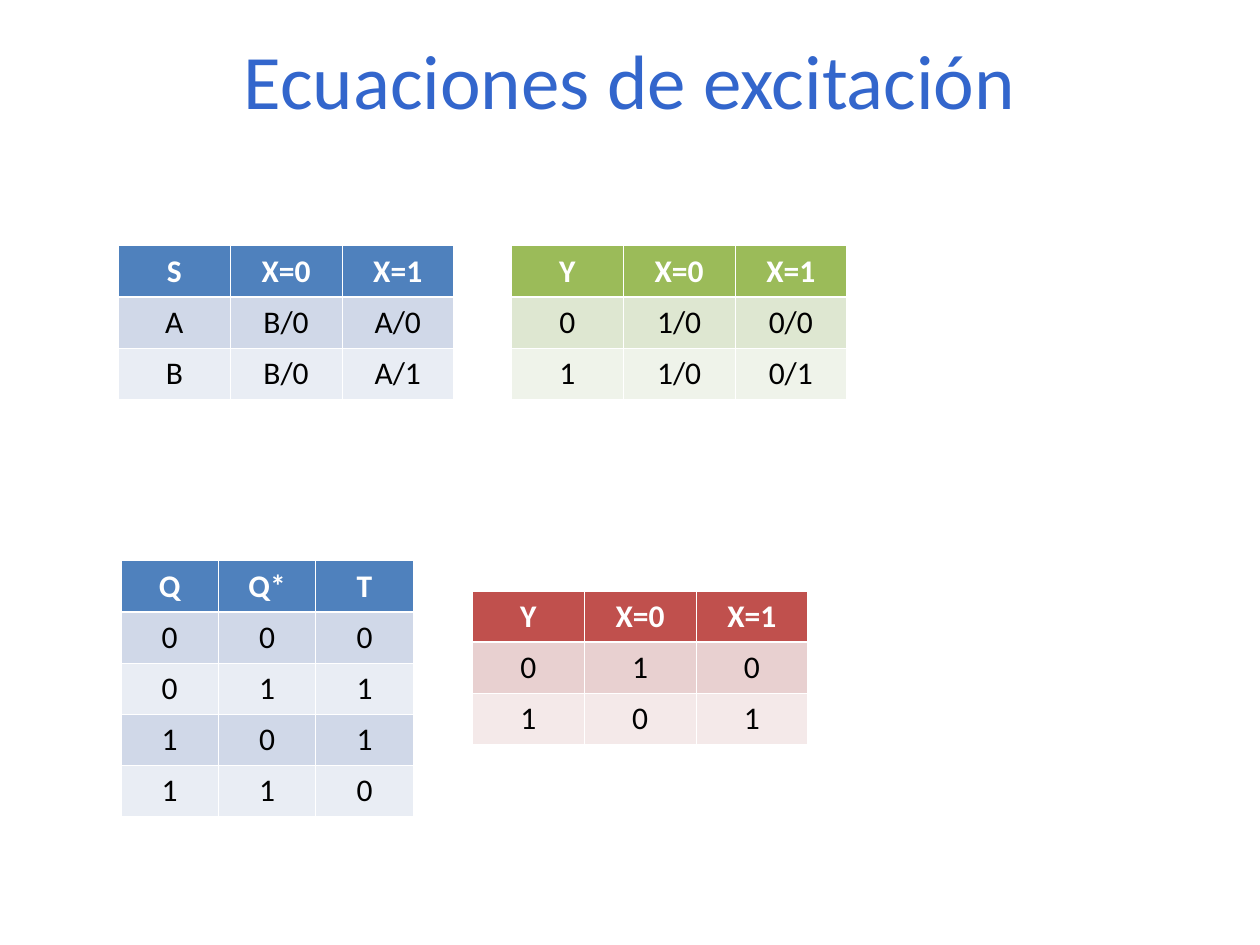
from pptx import Presentation
from pptx.dml.color import RGBColor
from pptx.enum.text import MSO_ANCHOR, PP_ALIGN
from pptx.oxml import parse_xml
from pptx.oxml.ns import nsdecls
from pptx.util import Inches, Pt

CENTER = PP_ALIGN.CENTER
MIDDLE = MSO_ANCHOR.MIDDLE

TITLE = "Ecuaciones de excitación"

# Each table: tone, (left, top, width, height), rows with the header first
TABLES = [
    ("blue", (0.94, 1.95, 2.66, 1.22),
     [("S", "X=0", "X=1"), ("A", "B/0", "A/0"), ("B", "B/0", "A/1")]),
    ("green", (4.06, 1.95, 2.66, 1.22),
     [("Y", "X=0", "X=1"), ("0", "1/0", "0/0"), ("1", "1/0", "0/1")]),
    ("red", (3.75, 4.69, 2.66, 1.22),
     [("Y", "X=0", "X=1"), ("0", "1", "0"), ("1", "0", "1")]),
    ("blue", (0.96, 4.45, 2.32, 2.03),
     [("Q", "Q*", "T"), ("0", "0", "0"), ("0", "1", "1"),
      ("1", "0", "1"), ("1", "1", "0")]),
]

THEME = {
    "font": "Calibri",
    "title": (44, "3366CC"),
    "head": (18, "FFFFFF"),
    "body": (18, "000000"),
    "rule": "FFFFFF",
    "thin": 0.45,
    "thick": 1.47,
    # header, odd rows, even rows
    "blue": ("4F81BD", "D0D8E8", "E9EDF4"),
    "green": ("9BBB59", "DEE7D1", "EFF3EA"),
    "red": ("C0504D", "E8D0D0", "F4E9E9"),
}


def write(frame, text, style, bold=False):
    para = frame.paragraphs[0]
    para.alignment = CENTER
    run = para.add_run()
    run.text = text
    size, color = THEME[style]
    run.font.name = THEME["font"]
    run.font.size = Pt(size)
    run.font.bold = bold
    run.font.color.rgb = RGBColor.from_string(color)


def edge(cell, row):
    """Draw white cell borders, thick between header and body."""
    thin, thick = THEME["thin"], THEME["thick"]
    widths = {"L": thin, "R": thin,
              "T": thick if row == 1 else thin,
              "B": thick if row == 0 else thin}
    props = cell._tc.get_or_add_tcPr()
    for spot, (side, width) in enumerate(widths.items()):
        props.insert(spot, parse_xml(
            f'<a:ln{side} {nsdecls("a")} w="{Pt(width)}"><a:solidFill>'
            f'<a:srgbClr val="{THEME["rule"]}"/></a:solidFill></a:ln{side}>'))


def add_grid(slide, tone, box, rows):
    place = [Inches(x) for x in box]
    table = slide.shapes.add_table(len(rows), len(rows[0]), *place).table
    head, odd, even = THEME[tone]
    for r, row in enumerate(rows):
        fill = head if r == 0 else odd if r % 2 else even
        for c, text in enumerate(row):
            cell = table.cell(r, c)
            cell.fill.solid()
            cell.fill.fore_color.rgb = RGBColor.from_string(fill)
            edge(cell, r)
            write(cell.text_frame, text, "body" if r else "head", r == 0)


def main():
    deck = Presentation()
    deck.slide_width, deck.slide_height = Inches(10), Inches(7.5)
    slide = deck.slides.add_slide(deck.slide_layouts[5])

    title = slide.shapes.title
    title.left, title.top = Inches(0.75), Inches(0)
    title.width, title.height = Inches(8.5), Inches(1.25)
    title.text_frame.vertical_anchor = MIDDLE
    write(title.text_frame, TITLE, "title")

    for tone, box, rows in TABLES:
        add_grid(slide, tone, box, rows)
    deck.save("out.pptx")


if __name__ == "__main__":
    main()
